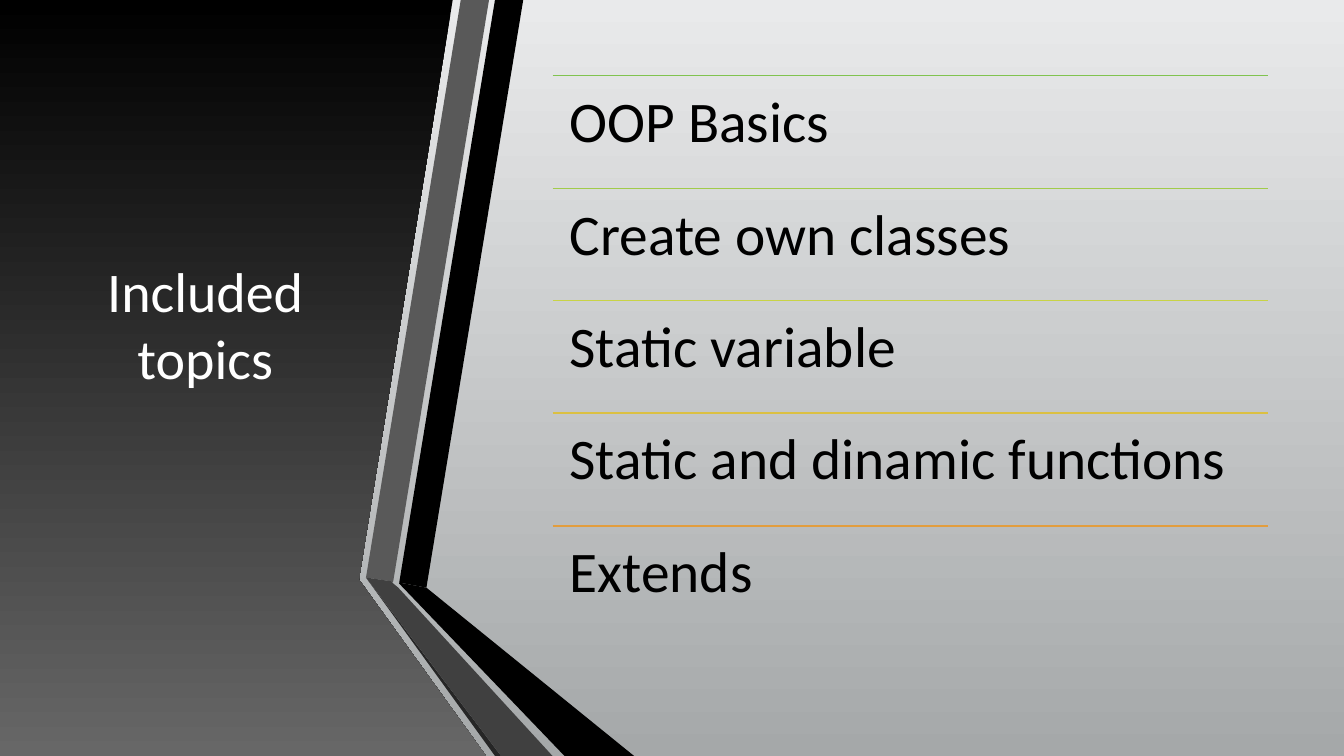
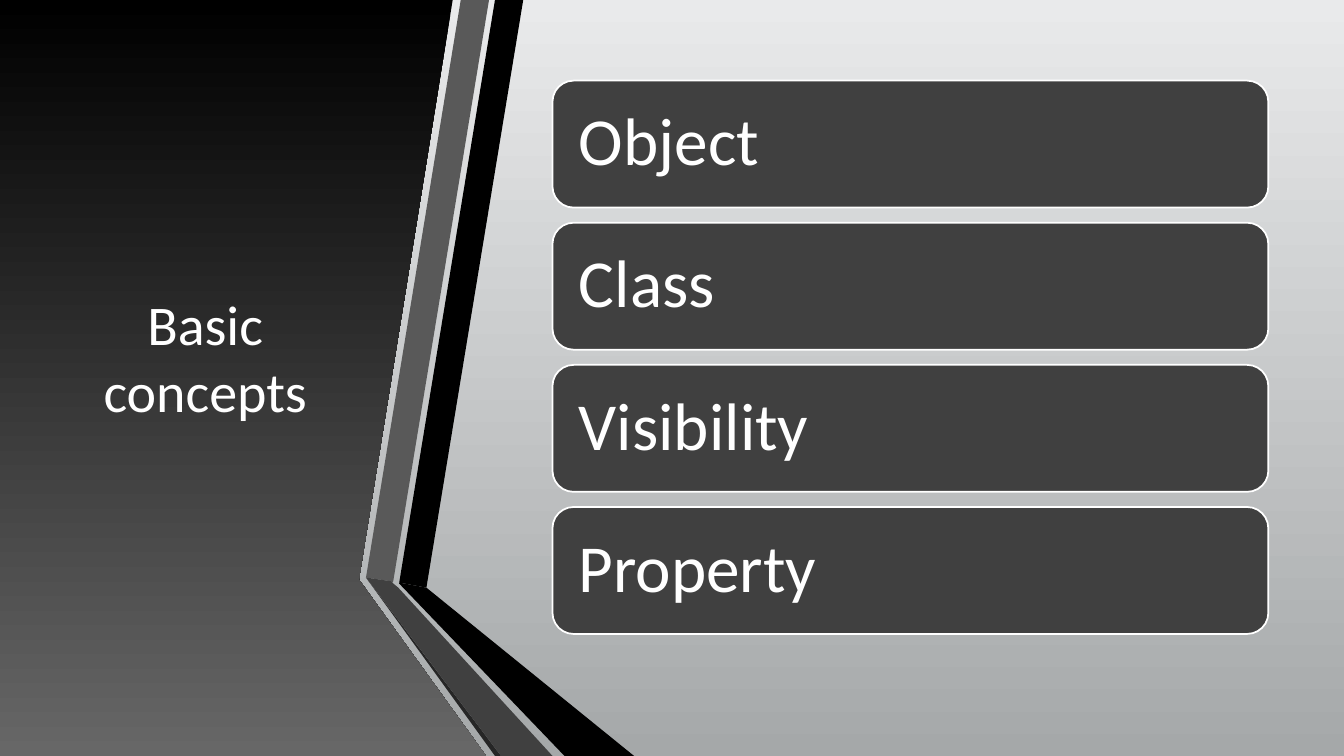
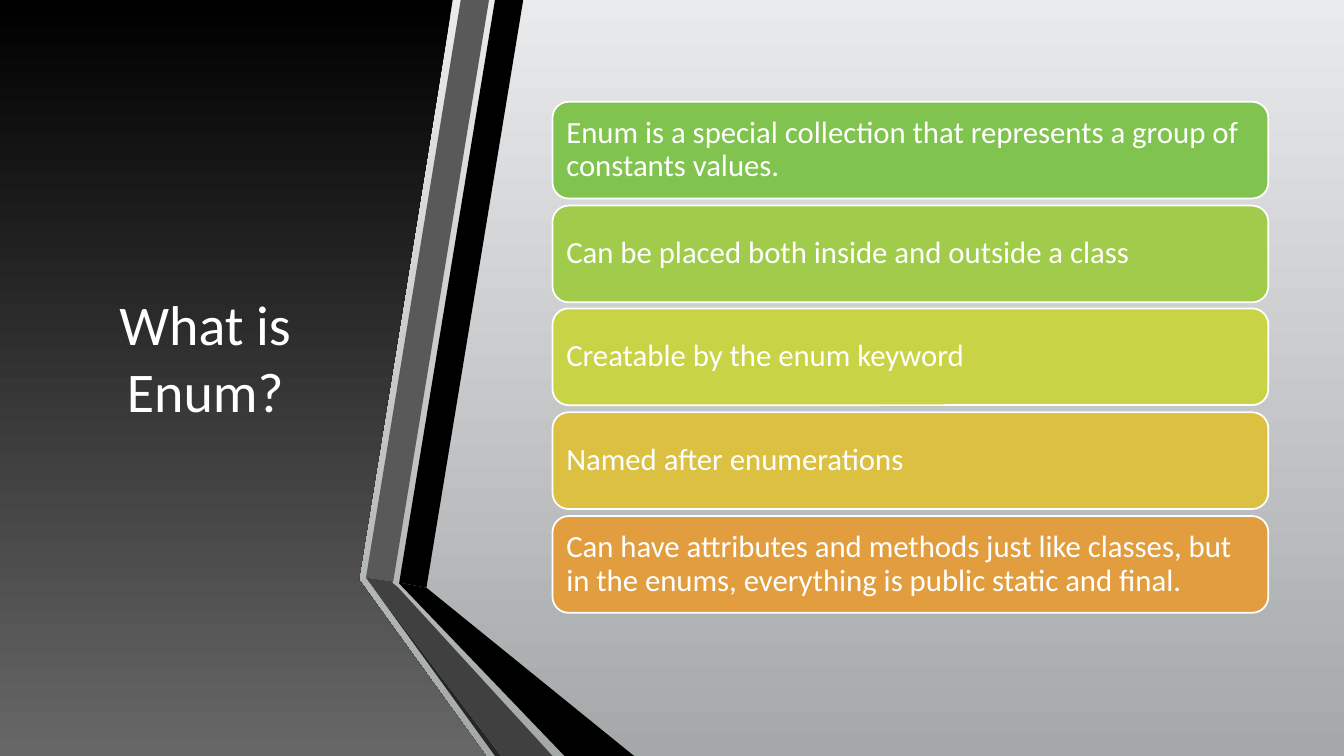
import dataclasses
import typing

import pptx
import pptx.dml.color
import pptx.dml.fill
import pptx.enum.shapes
import pptx.enum.text
import pptx.oxml.ns
import pptx.oxml.xmlchemy
import pptx.shapes.autoshape
import pptx.slide
import pptx.util
from lxml import etree

SCALE = 9144
SLIDE_WIDTH = 1333
SLIDE_HEIGHT = 750
FONT = "Calibri"
WHITE = "FFFFFF"
BLACK = "000000"
DARK = "404040"
PAGE_GRADIENT = ("E9EAEB", "A5A8A9")
PANEL_GRADIENT = (BLACK, "676767")
ACCENTS = ("80C34F", "A1CB4A", "C8D346", "DBC042", "E29D3E")
CONTENT_LEFT = 548
CONTENT_WIDTH = 710
LINE_POINTS = 1.25

Point = tuple[int, int]


@dataclasses.dataclass(frozen=True)
class Outline:
    points: tuple[Point, ...]
    color: str


@dataclasses.dataclass(frozen=True)
class TextStyle:
    size: int
    color: str
    inset: int
    anchor: pptx.enum.text.MSO_ANCHOR = pptx.enum.text.MSO_ANCHOR.MIDDLE
    alignment: pptx.enum.text.PP_ALIGN = pptx.enum.text.PP_ALIGN.LEFT
    line_spacing: float = 0.9


@dataclasses.dataclass(frozen=True)
class Stack:
    first_top: int
    last_top: int
    height: int
    style: TextStyle

    def tops(self, count: int) -> list[int]:
        pitch = (self.last_top - self.first_top) / (count - 1)
        return [round(self.first_top + index * pitch) for index in range(count)]


PANEL = ((353, 0), (449, 0), (356, 575), (482, 750), (0, 750), (0, 0))
RIBBON = (
    Outline(((396, 578), (423, 583), (519, 0), (491, 0)), BLACK),
    Outline(((485, 0), (457, 0), (363, 573), (390, 577)), "595959"),
    Outline(((363, 573), (491, 750), (497, 750)), "262626"),
    Outline(((396, 579), (560, 750), (629, 750), (423, 583), (396, 578)), BLACK),
    Outline(((548, 750), (395, 583), (389, 578), (390, 577), (363, 573), (497, 750)), DARK),
)

TITLE_STYLE = TextStyle(
    40, WHITE, 10, alignment=pptx.enum.text.PP_ALIGN.CENTER, line_spacing=1.0
)
TOPIC_STACK = Stack(75, 522, 112, TextStyle(41, BLACK, 17, pptx.enum.text.MSO_ANCHOR.TOP))
CONCEPT_STACK = Stack(80, 503, 126, TextStyle(48, WHITE, 20))
ENUM_STACK = Stack(101, 512, 96, TextStyle(22, WHITE, 9))

TOPICS = (
    "OOP Basics",
    "Create own classes",
    "Static variable",
    "Static and dinamic functions",
    "Extends",
)
CONCEPTS = ("Object", "Class", "Visibility", "Property")
ENUM_FACTS = (
    "Enum is a special collection that represents a group of constants values.",
    "Can be placed both inside and outside a class",
    "Creatable by the enum keyword",
    "Named after enumerations",
    "Can have attributes and methods just like classes, but in the enums, "
    "everything is public static and final.",
)


def px(length: int) -> pptx.util.Emu:
    return pptx.util.Emu(length * SCALE)


def rgb(color: str) -> pptx.dml.color.RGBColor:
    return pptx.dml.color.RGBColor.from_string(color)


def fill_gradient(fill: pptx.dml.fill.FillFormat, colors: tuple[str, str]) -> None:
    fill.gradient()
    fill.gradient_angle = 270
    for stop, color in zip(fill.gradient_stops, colors):
        stop.color.rgb = rgb(color)


def fill_solid(fill: pptx.dml.fill.FillFormat, color: str) -> None:
    fill.solid()
    fill.fore_color.rgb = rgb(color)


def write_text(shape: pptx.shapes.autoshape.Shape, text: str, style: TextStyle) -> None:
    frame = shape.text_frame
    frame.word_wrap = True
    frame.vertical_anchor = style.anchor
    for side in ("left", "top", "right", "bottom"):
        setattr(frame, f"margin_{side}", px(style.inset))
    paragraph = frame.paragraphs[0]
    paragraph.alignment = style.alignment
    paragraph.line_spacing = style.line_spacing
    run = paragraph.add_run()
    run.text = text
    run.font.name = FONT
    run.font.size = pptx.util.Pt(style.size)
    run.font.color.rgb = rgb(style.color)


def add_outline(
    slide: pptx.slide.Slide, points: typing.Sequence[Point]
) -> pptx.shapes.autoshape.Shape:
    builder = slide.shapes.build_freeform(*points[0], scale=SCALE)
    builder.add_line_segments(points[1:], close=True)
    shape = builder.convert_to_shape()
    shape.shadow.inherit = False
    shape.line.fill.background()
    return shape


def add_titled_slide(
    presentation: pptx.presentation.Presentation, title: str, title_top: int = 75
) -> pptx.slide.Slide:
    slide = presentation.slides.add_slide(presentation.slide_layouts[6])
    fill_gradient(add_outline(slide, PANEL).fill, PANEL_GRADIENT)
    title_box = slide.shapes.add_textbox(px(59), px(title_top), px(289), px(558))
    write_text(title_box, title, TITLE_STYLE)
    for outline in RIBBON:
        fill_solid(add_outline(slide, outline.points).fill, outline.color)
    return slide


def add_rule(slide: pptx.slide.Slide, top: int, color: str) -> None:
    connector = slide.shapes.add_connector(
        pptx.enum.shapes.MSO_CONNECTOR.STRAIGHT,
        px(CONTENT_LEFT), px(top), px(CONTENT_LEFT + CONTENT_WIDTH), px(top),
    )
    connector.line.color.rgb = rgb(color)
    connector.line.width = pptx.util.Pt(LINE_POINTS)
    etree.SubElement(connector.element.spPr, pptx.oxml.ns.qn("a:effectLst"))


def add_ruled_list(
    slide: pptx.slide.Slide, stack: Stack, texts: typing.Sequence[str]
) -> None:
    for top, text, color in zip(stack.tops(len(texts)), texts, ACCENTS):
        add_rule(slide, top, color)
        text_box = slide.shapes.add_textbox(
            px(CONTENT_LEFT), px(top), px(CONTENT_WIDTH), px(stack.height)
        )
        write_text(text_box, text, stack.style)


def add_cards(
    slide: pptx.slide.Slide,
    stack: Stack,
    texts: typing.Sequence[str],
    colors: typing.Sequence[str],
) -> None:
    for top, text, color in zip(stack.tops(len(texts)), texts, colors):
        card = slide.shapes.add_shape(
            pptx.enum.shapes.MSO_SHAPE.ROUNDED_RECTANGLE,
            px(CONTENT_LEFT), px(top), px(CONTENT_WIDTH), px(stack.height),
        )
        card.shadow.inherit = False
        fill_solid(card.fill, color)
        card.line.color.rgb = rgb(WHITE)
        card.line.width = pptx.util.Pt(LINE_POINTS)
        write_text(card, text, stack.style)


def main() -> None:
    presentation = pptx.Presentation()
    presentation.slide_width = px(SLIDE_WIDTH)
    presentation.slide_height = px(SLIDE_HEIGHT)
    fill_gradient(presentation.slide_master.background.fill, PAGE_GRADIENT)

    topics_slide = add_titled_slide(presentation, "Included topics", title_top=42)
    add_ruled_list(topics_slide, TOPIC_STACK, TOPICS)

    concepts_slide = add_titled_slide(presentation, "Basic concepts")
    add_cards(concepts_slide, CONCEPT_STACK, CONCEPTS, [DARK] * len(CONCEPTS))

    enum_slide = add_titled_slide(presentation, "What is Enum?")
    add_cards(enum_slide, ENUM_STACK, ENUM_FACTS, ACCENTS)

    presentation.save("out.pptx")


if __name__ == "__main__":
    main()
